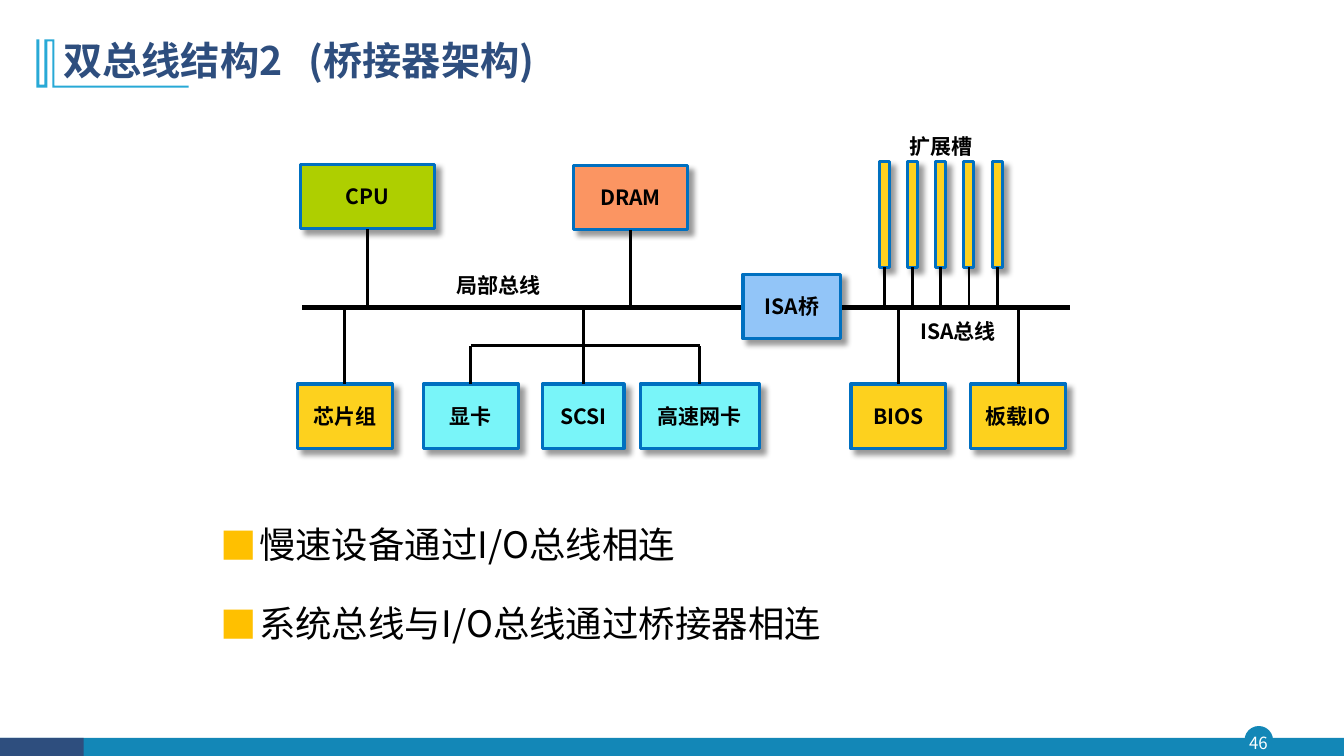
from lxml import etree
from pptx import Presentation
from pptx.dml.color import RGBColor
from pptx.enum.shapes import MSO_CONNECTOR, MSO_SHAPE
from pptx.enum.text import MSO_ANCHOR, MSO_AUTO_SIZE, PP_ALIGN
from pptx.oxml import parse_xml
from pptx.oxml.ns import nsdecls, qn
from pptx.util import Inches, Pt

FONT = "Noto Sans CJK SC"
BLACK = RGBColor(0x00, 0x00, 0x00)
WHITE = RGBColor(0xFF, 0xFF, 0xFF)
NAVY = RGBColor(0x2E, 0x4E, 0x7E)
TEAL = RGBColor(0x13, 0x87, 0xB7)
SKY = RGBColor(0x28, 0xA9, 0xD6)
EDGE = RGBColor(0x00, 0x70, 0xC0)
YELLOW = RGBColor(0xFD, 0xD1, 0x1E)
GREEN = RGBColor(0xAE, 0xCF, 0x00)
ORANGE = RGBColor(0xFB, 0x95, 0x62)
CYAN = RGBColor(0x79, 0xF5, 0xF9)
BLUE = RGBColor(0x92, 0xC5, 0xF8)

TITLE_FONT = {"size": Pt(28), "bold": True}
BODY_FONT = {"size": Pt(26), "bold": False}
LABEL_FONT = {"size": Pt(15), "bold": True}
PAGE_FONT = {"size": Pt(12), "bold": False}
SHADOW = (
    f'<a:effectLst {nsdecls("a")}><a:outerShdw blurRad="50800" dist="63500" '
    'dir="2700000" algn="tl" rotWithShape="0"><a:srgbClr val="000000">'
    '<a:alpha val="40000"/></a:srgbClr></a:outerShdw></a:effectLst>'
)
TOP, BOTTOM = 0, 2


def add_run(p, text, fmt, color):
    r = p.add_run()
    r.text = text
    for name, value in fmt.items():
        setattr(r.font, name, value)
    r.font.name = FONT
    r.font.color.rgb = color
    ea = etree.SubElement(r.font._element, qn("a:ea"))
    ea.set("typeface", FONT)
    return r


def centre_text(sp, text, fmt, color):
    tf = sp.text_frame
    settings = {"word_wrap": True, "vertical_anchor": MSO_ANCHOR.MIDDLE,
                "margin_left": 0, "margin_right": 0,
                "margin_top": 0, "margin_bottom": 0}
    for name, value in settings.items():
        setattr(tf, name, value)
    p = tf.paragraphs[0]
    p.alignment = PP_ALIGN.CENTER
    add_run(p, text, fmt, color)


def add_label(s, box, text, fmt=LABEL_FONT, color=BLACK):
    centre_text(s.shapes.add_textbox(*map(Inches, box)), text, fmt, color)


def add_plain(s, kind, box, color):
    sp = s.shapes.add_shape(kind, *map(Inches, box))
    sp.shadow.inherit = False
    sp.fill.solid()
    sp.fill.fore_color.rgb = color
    sp.line.fill.background()
    return sp


def add_device(s, box, color, text=""):
    sp = add_plain(s, MSO_SHAPE.RECTANGLE, box, color)
    sp.line.color.rgb = EDGE
    sp.line.width = Pt(2.25)
    sp._element.spPr.remove(sp._element.spPr.find(qn("a:effectLst")))
    sp._element.spPr.append(parse_xml(SHADOW))
    if text:
        centre_text(sp, text, LABEL_FONT, BLACK)
    return sp


def add_wire(s, start, end, width=2):
    cx = s.shapes.add_connector(MSO_CONNECTOR.STRAIGHT, *map(Inches, start + end))
    cx.line.color.rgb = BLACK
    cx.line.width = Pt(width)
    etree.SubElement(cx._element.spPr, qn("a:effectLst"))
    return cx


def wire_device(s, sp, side, y):
    x = (sp.left + sp.width / 2) / Inches(1)
    edge = (sp.top + (sp.height if side == BOTTOM else 0)) / Inches(1)
    add_wire(s, (x, edge), (x, y)).begin_connect(sp, side)


def draw_footer(s, left, top, width, height, page):
    badge = add_plain(s, MSO_SHAPE.OVAL, (left + 12.35, top - 0.11, 0.27, 0.27), TEAL)
    badge.line.color.rgb = TEAL
    badge.line.width = Pt(1)
    add_plain(s, MSO_SHAPE.RECTANGLE, (left, top, width, height), TEAL)
    add_plain(s, MSO_SHAPE.RECTANGLE, (left, top, 0.83, height), NAVY)
    add_label(s, (left + 12.32, top - 0.11, 0.32, 0.31), page, PAGE_FONT, WHITE)


def draw_ornament(s, left, top):
    outline = [(18, 0), (18, 46), (151, 46), (151, 48), (16, 48), (16, 2), (11, 2),
               (11, 48), (0, 48), (0, 0), (3, 0), (3, 45), (8, 45), (8, 0)]
    points = [(round(left * 100) + x, round(top * 100) + y) for x, y in outline]
    builder = s.shapes.build_freeform(*points[0], scale=Inches(0.01))
    builder.add_line_segments(points[1:], close=True)
    sp = builder.convert_to_shape()
    sp.shadow.inherit = False
    sp.fill.solid()
    sp.fill.fore_color.rgb = SKY
    sp.line.fill.background()


def place(sp, box):
    sp.left, sp.top, sp.width, sp.height = map(Inches, box)
    sp.text_frame.auto_size = MSO_AUTO_SIZE.NONE
    sp.text_frame.word_wrap = True


def fill_title(s, box, name, detail):
    sp = s.shapes.title
    place(sp, box)
    sp.text_frame.vertical_anchor = MSO_ANCHOR.MIDDLE
    p = sp.text_frame.paragraphs[0]
    p.alignment = PP_ALIGN.LEFT
    p.line_spacing = 0.9
    add_run(p, name, TITLE_FONT, NAVY)
    gap = add_run(p, " ", TITLE_FONT, NAVY)
    gap.font._element.set("spc", "1250")
    add_run(p, detail, TITLE_FONT, NAVY)


def fill_body(s, box, items):
    sp = s.placeholders[1]
    place(sp, box)
    tf = sp.text_frame
    for i, item in enumerate(items):
        p = tf.add_paragraph() if i else tf.paragraphs[0]
        p.alignment = PP_ALIGN.JUSTIFY
        p.line_spacing = 1.5
        p.space_before = Pt(10 if i else 0)
        pPr = p._p.get_or_add_pPr()
        pPr.set("marL", str(Inches(0.38)))
        pPr.set("indent", str(-Inches(0.38)))
        color = etree.SubElement(pPr, qn("a:buClr"))
        etree.SubElement(color, qn("a:srgbClr")).set("val", "FFC000")
        etree.SubElement(pPr, qn("a:buFont")).set("typeface", FONT)
        etree.SubElement(pPr, qn("a:buChar")).set("char", "■")
        add_run(p, item, BODY_FONT, BLACK)


def draw_diagram(s, left, top, width):
    bus, branch, row, high = top + 1.45, top + 1.83, top + 2.21, 0.64
    add_wire(s, (left + 0.05, bus), (left + width, bus), 4)
    for x, y, w, color, text in [(0.03, 0.03, 1.33, GREEN, "CPU"),
                                 (2.74, 0.04, 1.13, ORANGE, "DRAM")]:
        sp = add_device(s, (left + x, top + y, w, high), color, text)
        wire_device(s, sp, BOTTOM, bus)
    for x, w, color, text, target in [(0, 0.94, YELLOW, "芯片组", bus),
                                      (1.25, 0.94, CYAN, "显卡", branch),
                                      (2.43, 0.81, CYAN, "SCSI", bus),
                                      (3.4, 1.18, CYAN, "高速网卡", branch),
                                      (5.49, 0.94, YELLOW, "BIOS", bus),
                                      (6.68, 0.94, YELLOW, "板载IO", bus)]:
        sp = add_device(s, (left + x, row, w, high), color, text)
        wire_device(s, sp, TOP, target)
    add_wire(s, (left + 1.72, branch), (left + 3.99, branch))
    for i in range(5):
        sp = add_device(s, (left + 5.77 + 0.28 * i, top, 0.1, 1.05), YELLOW)
        wire_device(s, sp, BOTTOM, bus)
    add_device(s, (left + 4.42, top + 1.12, 0.97, high), BLUE, "ISA桥")
    for x, y, w, text in [(0.93, 1.02, 2.12, "局部总线"),
                          (5.89, -0.36, 0.98, "扩展槽"),
                          (5.49, 1.48, 2.12, "ISA总线")]:
        add_label(s, (left + x, top + y, w, 0.41), text)


def main():
    prs = Presentation()
    prs.slide_width, prs.slide_height = Inches(13.33), Inches(7.5)
    s = prs.slides.add_slide(prs.slide_layouts[1])
    draw_footer(s, 0, 7.32, 13.33, 0.19, "46")
    draw_ornament(s, 0.36, 0.39)
    fill_title(s, (0.53, 0.28, 11.5, 0.68), "双总线结构2", "(桥接器架构)")
    fill_body(s, (2.09, 4.91, 8.39, 2.35),
              ["慢速设备通过I/O总线相连", "系统总线与I/O总线通过桥接器相连"])
    draw_diagram(s, 2.95, 1.6, 7.66)
    prs.save("out.pptx")


if __name__ == "__main__":
    main()
